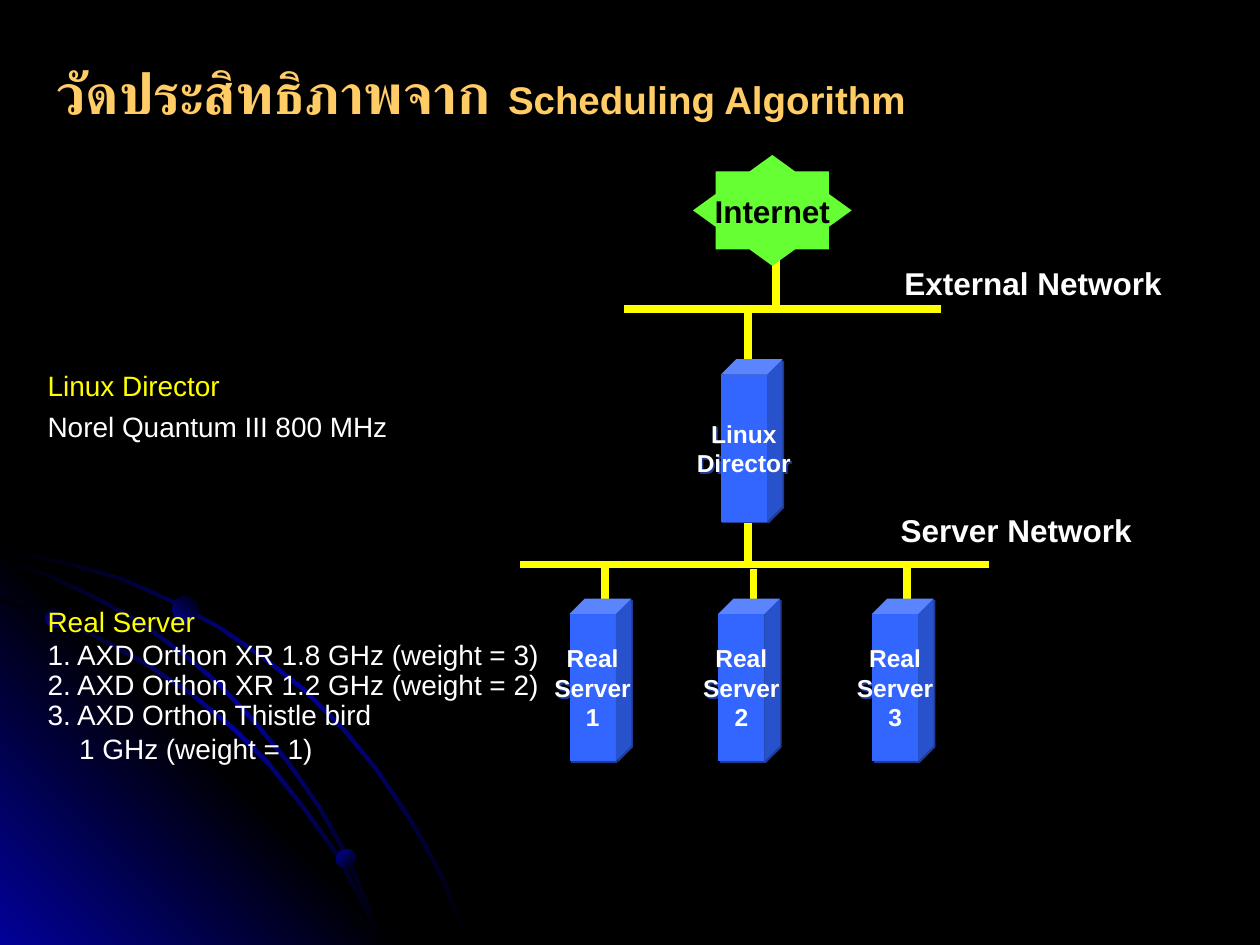
import pptx
import pptx.dml.color
import pptx.enum.shapes
import pptx.enum.text
import pptx.oxml.ns
import pptx.util
from lxml import etree

Inches = pptx.util.Inches
Pt = pptx.util.Pt
qn = pptx.oxml.ns.qn
SHAPES = pptx.enum.shapes.MSO_SHAPE
STRAIGHT = pptx.enum.shapes.MSO_CONNECTOR.STRAIGHT
CENTER = pptx.enum.text.PP_ALIGN.CENTER
MIDDLE = pptx.enum.text.MSO_ANCHOR.MIDDLE

COLORS = {
    "black": "000000", "glow": "010199", "yellow": "FFFF00", "server": "3366FF",
    "shade": "1E3C98", "internet": "66FF33", "title": "FFCC66", "white": "FFFFFF",
}
TITLE = {"size": 32, "color": "title", "bold": True}
NETWORK_NAME = {"size": 18, "color": "white", "bold": True}
INTERNET_NAME = {"size": 18, "color": "black", "bold": True}
SERVER_NAME = {"size": 14, "color": "white", "bold": True}
HEADING = {"size": 16, "color": "yellow", "bold": False}
DETAIL = {"size": 16, "color": "white", "bold": False}

SERVER_WIDTH, SERVER_HEIGHT = 0.49, 1.29
LINE_HEIGHT = 0.37
ARC_FLOOR, ARC_THICKNESS = 3.22, 0.02
OUTER_ORBIT = [
    (0, 0.11), (0.28, 0.16), (0.56, 0.22), (0.97, 0.34), (1.35, 0.51), (1.73, 0.72),
    (2.08, 0.96), (2.41, 1.22), (2.71, 1.52), (2.98, 1.85), (3.23, 2.22), (3.37, 2.46),
    (3.5, 2.71), (3.6, 2.96), (3.7, 3.22),
]
MIDDLE_ORBIT = [
    (0, 0.17), (0.36, 0.3), (0.74, 0.48), (1.09, 0.67), (1.42, 0.91), (1.73, 1.17),
    (2.02, 1.48), (2.27, 1.78), (2.52, 2.14), (2.67, 2.4), (2.8, 2.67), (2.92, 2.95),
    (3.01, 3.22),
]
INNER_ORBIT = [
    (0, 0.5), (0.39, 0.63), (0.77, 0.8), (1.15, 1.01), (1.5, 1.24), (1.83, 1.51),
    (2.13, 1.81), (2.4, 2.15), (2.65, 2.5), (2.85, 2.87), (2.94, 3.05), (3.01, 3.22),
]
STAR_QUARTER = [(0.63, 0), (0.45, 0.13), (0.45, 0.31), (0.18, 0.31), (0, 0.44)]


def rgb(name):
    return pptx.dml.color.RGBColor.from_string(COLORS[name])


def orbit_band(edge):
    far_edge = [
        (x + ARC_THICKNESS if x else 0, y - ARC_THICKNESS if y < ARC_FLOOR else y)
        for x, y in edge
    ]
    return edge + far_edge[::-1]


def mirrored_star(quarter):
    half = quarter + [(-x, y) for x, y in quarter[-2::-1]]
    return half + [(-x, -y) for x, y in half[1:-1]]


def fill_plain(shape, color):
    shape.shadow.inherit = False
    shape.fill.solid()
    shape.fill.fore_color.rgb = rgb(color)
    shape.line.fill.background()


def fill_gradient(shape, stops, angle):
    fill_plain(shape, stops[0])
    gradient = etree.Element(qn("a:gradFill"), rotWithShape="1")
    stop_list = etree.SubElement(gradient, qn("a:gsLst"))
    for number, color in enumerate(stops):
        position = 100000 * number // (len(stops) - 1)
        stop = etree.SubElement(stop_list, qn("a:gs"), pos=str(position))
        etree.SubElement(stop, qn("a:srgbClr"), val=COLORS[color])
    etree.SubElement(gradient, qn("a:lin"), ang=str(angle * 60000), scaled="1")
    properties = shape._element.spPr
    properties.replace(properties.find(qn("a:solidFill")), gradient)


def add_outline(slide, left, top, points):
    start, *others = [(Inches(x), Inches(y)) for x, y in points]
    builder = slide.shapes.build_freeform(*start, scale=1.0)
    builder.add_line_segments(others, close=True)
    return builder.convert_to_shape(Inches(left), Inches(top))


def add_run(paragraph, text, style):
    run = paragraph.add_run()
    run.text = text
    font_format = {"name": "Arial", "size": Pt(style["size"]), "bold": style["bold"]}
    for attribute, value in font_format.items():
        setattr(run.font, attribute, value)
    run.font.color.rgb = rgb(style["color"])


def write_lines(frame, lines, style, align=None):
    for number, line in enumerate(lines):
        paragraph = frame.add_paragraph() if number else frame.paragraphs[0]
        paragraph.alignment = align
        add_run(paragraph, line, style)


def add_text(slide, left, top, width, height, lines, style):
    box = slide.shapes.add_textbox(Inches(left), Inches(top), Inches(width), Inches(height))
    box.text_frame.word_wrap = True
    write_lines(box.text_frame, lines, style)
    return box.text_frame


def label_shape(shape, lines, style):
    shape.text_frame.word_wrap = False
    shape.text_frame.vertical_anchor = MIDDLE
    write_lines(shape.text_frame, lines, style, CENTER)


def add_cable(slide, x1, y1, x2, y2):
    cable = slide.shapes.add_connector(
        STRAIGHT, Inches(x1), Inches(y1), Inches(x2), Inches(y2))
    cable.line.color.rgb = rgb("yellow")
    cable.line.width = Pt(4.5)
    etree.SubElement(cable._element.spPr, qn("a:effectLst"))


def add_server(slide, left, top, lines):
    server = slide.shapes.add_shape(
        SHAPES.CUBE, Inches(left), Inches(top), Inches(SERVER_WIDTH), Inches(SERVER_HEIGHT))
    fill_plain(server, "server")
    effects = server._element.spPr.find(qn("a:effectLst"))
    shadow = etree.SubElement(
        effects, qn("a:outerShdw"),
        dist=str(Pt(1.4)), dir=str(45 * 60000), algn="ctr", rotWithShape="0")
    etree.SubElement(shadow, qn("a:srgbClr"), val=COLORS["shade"])
    label_shape(server, lines, SERVER_NAME)


def add_internet(slide, center_x, center_y):
    internet = add_outline(slide, center_x, center_y, mirrored_star(STAR_QUARTER))
    fill_plain(internet, "internet")
    label_shape(internet, ["Internet"], INTERNET_NAME)


def add_backdrop(slide, left, top):
    corner = [(3.22, 3.23), (0, 3.23), (0, 0)]
    orbit_stops = ["black", "glow", "black"]
    for outline, stops, angle in [
        (orbit_band(OUTER_ORBIT), orbit_stops, 225),
        (corner, ["glow", "black", "glow"], 135),
        (orbit_band(INNER_ORBIT), orbit_stops, 225),
        (orbit_band(MIDDLE_ORBIT), orbit_stops, 225),
    ]:
        fill_gradient(add_outline(slide, left, top, outline), stops, angle)
    for x, y, diameter, angle in [
        (0.36, 0.56, 0.15, 135), (2.67, 2.47, 0.16, 225), (1.37, 0.46, 0.21, 135),
    ]:
        planet = slide.shapes.add_shape(
            SHAPES.OVAL, Inches(left + x), Inches(top + y), Inches(diameter), Inches(diameter))
        fill_gradient(planet, ["black", "glow"], angle)


def add_network(slide, left, top, width):
    external_bus, server_bus = top + 1.22, top + 3.25
    director_top, real_server_top = top + 1.62, top + 3.52
    director_cable, internet_cable = left + 1.81, left + 2.03

    add_cable(slide, left + 0.82, external_bus, left + 3.34, external_bus)
    add_cable(slide, left, server_bus, left + width, server_bus)
    add_cable(slide, internet_cable, top + 0.75, internet_cable, external_bus)
    add_cable(slide, director_cable, director_top + 0.07, director_cable, external_bus)
    add_cable(slide, director_cable, director_top + SERVER_HEIGHT, director_cable, server_bus)

    add_internet(slide, left + 2, top + 0.44)
    add_server(slide, left + 1.59, director_top, ["Linux", "Director"])
    for number, (x, cable_gap) in enumerate([(0.39, 0), (1.57, 0.04), (2.79, 0)], 1):
        cable_x = left + x + 0.28
        add_cable(slide, cable_x, server_bus + cable_gap, cable_x, real_server_top + cable_gap)
        add_server(slide, left + x, real_server_top, ["Real", "Server", str(number)])

    add_text(slide, left + 2.95, external_bus - 0.4, 2.3, 0.4, ["External Network"], NETWORK_NAME)
    add_text(slide, left + 2.92, server_bus - 0.47, 2.1, 0.4, ["Server Network"], NETWORK_NAME)


def add_title(slide, left, top, width, height):
    title = add_text(slide, left, top, width, height, ["วัดประสิทธิภาพจาก"], TITLE)
    for text, size in [(" ", 36), ("Scheduling Algorithm", 22)]:
        add_run(title.paragraphs[0], text, {**TITLE, "size": size})


def add_machine_list(slide, left, top, width, heading, first_gap, machines):
    add_text(slide, left, top, width, LINE_HEIGHT, [heading], HEADING)
    for number, lines in enumerate(machines):
        machine_top = top + first_gap + 0.24 * number
        machine = add_text(
            slide, left, machine_top, width, LINE_HEIGHT * len(lines), lines, DETAIL)
        for continuation in machine.paragraphs[1:]:
            continuation._p.get_or_add_pPr().set("marL", str(Inches(0.25)))


def main():
    deck = pptx.Presentation()
    deck.slide_width, deck.slide_height = Inches(10), Inches(7.5)
    slide = deck.slides.add_slide(deck.slide_layouts[6])
    slide.background.fill.solid()
    slide.background.fill.fore_color.rgb = rgb("black")
    add_backdrop(slide, 0, 4.27)
    add_network(slide, 4.13, 1.23, 3.72)
    add_title(slide, 0.35, 0.36, 7.48, 0.7)
    add_machine_list(slide, 0.28, 2.88, 2.9, "Linux Director", 0.32, [
        ["Norel Quantum III 800 MHz"],
    ])
    add_machine_list(slide, 0.28, 4.75, 4.2, "Real Server", 0.26, [
        ["1. AXD Orthon XR 1.8 GHz (weight = 3)"],
        ["2. AXD Orthon XR 1.2 GHz (weight = 2)"],
        ["3. AXD Orthon Thistle bird", "1 GHz (weight = 1)"],
    ])
    deck.save("out.pptx")


if __name__ == "__main__":
    main()
